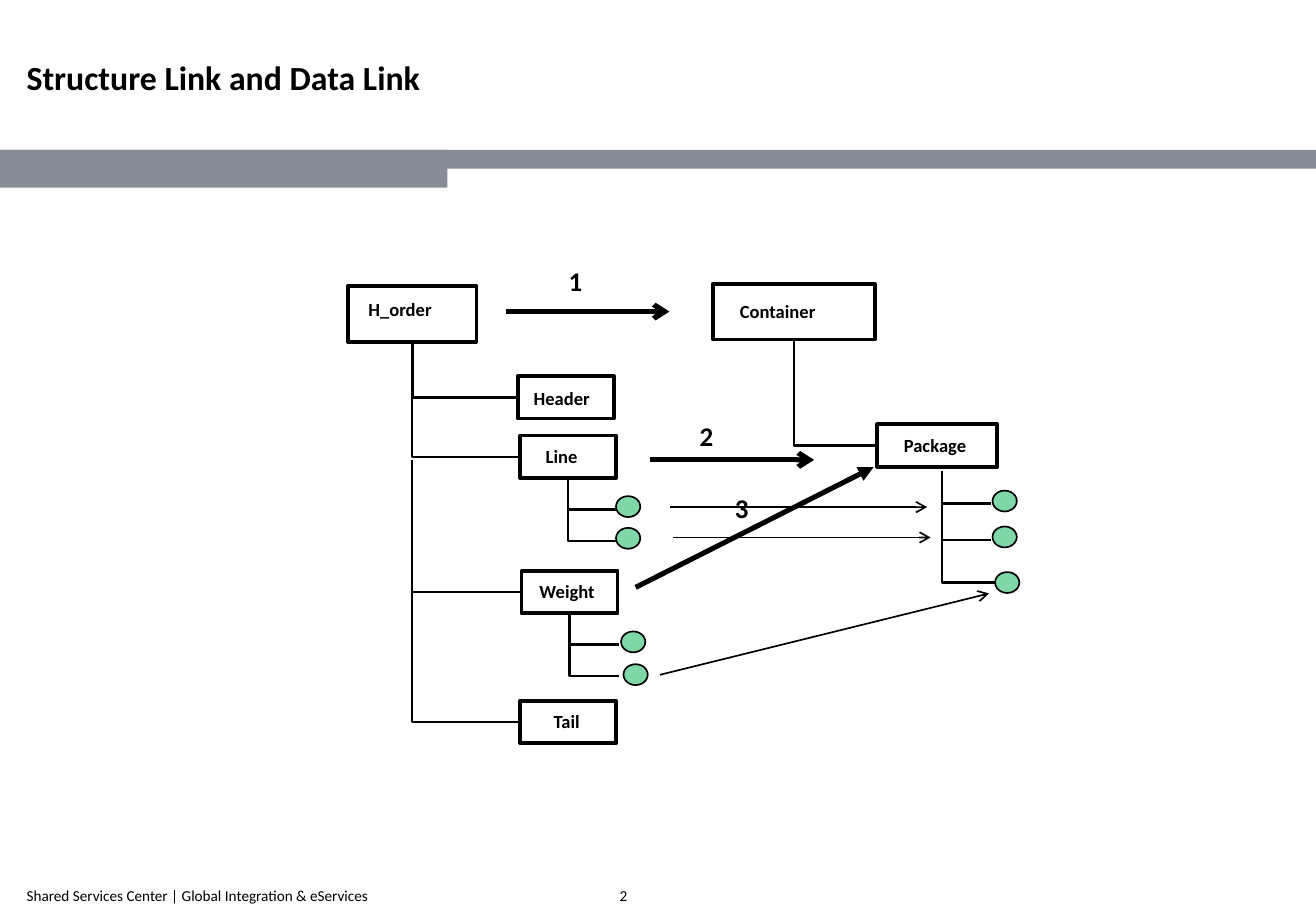
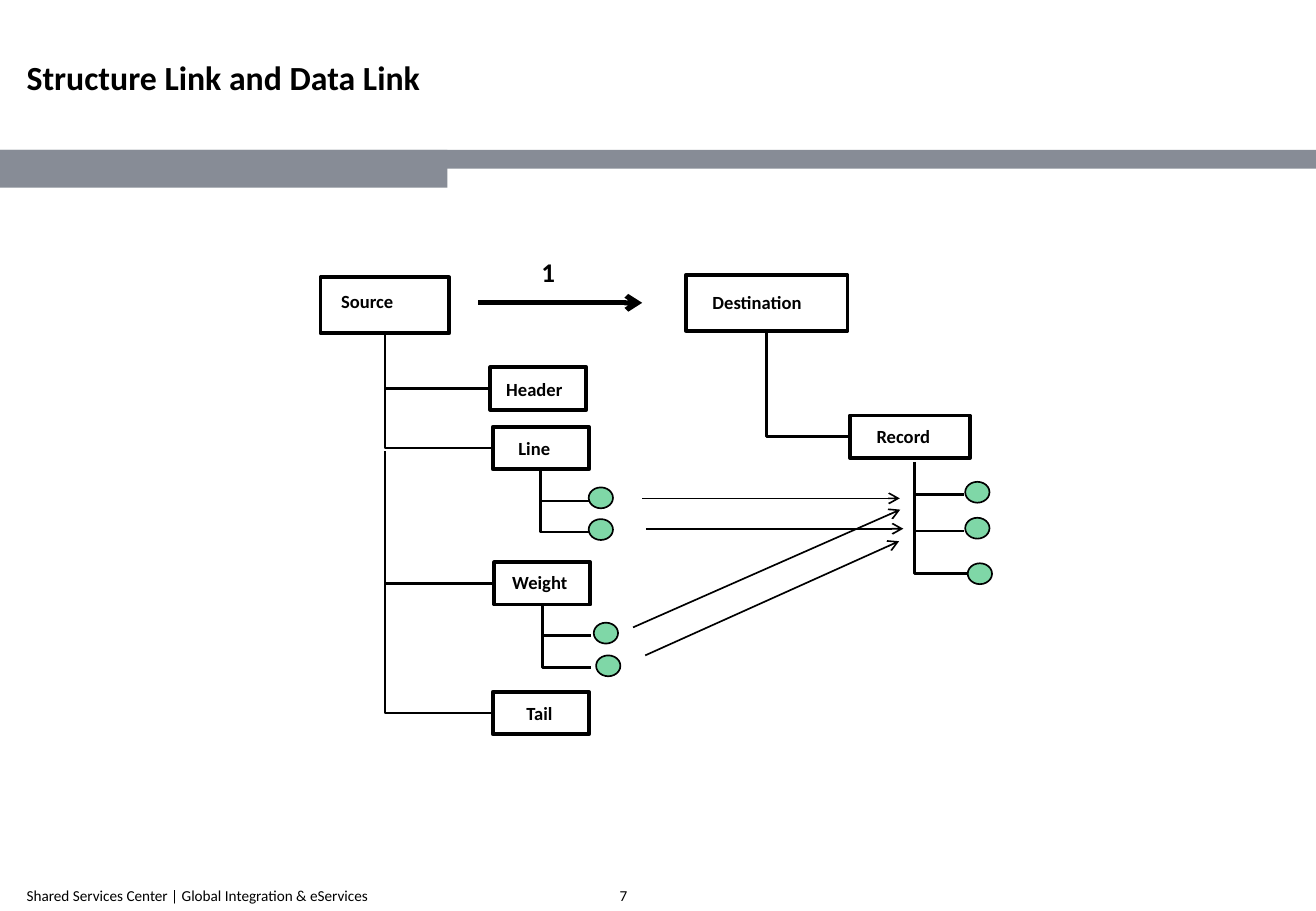
import lxml.etree
import pptx
import pptx.dml.color
import pptx.enum.shapes
import pptx.enum.text
import pptx.oxml.ns
import pptx.util

Pt = pptx.util.Pt
qn = pptx.oxml.ns.qn
SHAPE = pptx.enum.shapes.MSO_SHAPE
CONNECTOR = pptx.enum.shapes.MSO_CONNECTOR
ANCHOR = pptx.enum.text.MSO_ANCHOR

# Shared look
WIDTH, HEIGHT = 780.13, 540
FONT, BLACK, BAND, GREEN = "Calibri", "000000", "878C96", "00B050"
TITLE = "Structure Link and Data Link"
FOOTER = "Shared Services Center | Global Integration & eServices"
BANDS = [(0, 88.8, 780, 11.2), (0, 88.8, 265.2, 22.4)]
DOT_W, DOT_H = 14.4, 12.4
THIN, BRANCH, FRAME, BOLD = 1, 1.5, 2.25, 3

# Boxes: left, top, width, height, text indent, text drop
BOXES = {
    "source": (206, 169.2, 76.3, 33.1, 12.2, 7.2),
    "header": (306.7, 222.5, 56.9, 25.2, 9.4, 6.2),
    "line": (308.2, 257.8, 56.9, 25.2, 15.1, 5.8),
    "weight": (309, 338, 56.9, 25.2, 10.6, 5.5),
    "tail": (308.2, 414.9, 56.9, 25.2, 19.8, 5.7),
    "target": (422.6, 167.8, 95.8, 33.1, 15.8, 9.4),
    "record": (519.8, 251.1, 71.3, 25.2, 15.8, 5.8),
}
COMMON_NAMES = {"header": "Header", "line": "Line",
                "weight": "Weight", "tail": "Tail"}

# Fields: trunk x, trunk top, then per branch: y, end x, dot centre x, dot centre y
FIELDS = [
    (336.4, 283, [(301.7, 365, 372.2, 299.9), (320.3, 365, 372.2, 318.7)]),
    (337.6, 363.2, [(381.6, 366.5, 375.2, 380.1), (400.3, 366.5, 376.6, 399.5)]),
    (558.2, 278.6, [(298.1, 587.5, 595.4, 296.6), (319.7, 587.5, 595.4, 317.9),
                    (344.9, 589.7, 596.9, 344.9)]),
]

# Arrows: x1, y1, x2, y2, line width, head
COMMON_ARROWS = [
    (299.5, 184.3, 396.7, 184.3, BOLD, "arrow"),
    (396.7, 300.2, 549.4, 300.2, THIN, "arrow"),
    (398.9, 318.2, 551.5, 318.2, THIN, "arrow"),
]
COMMON_STEPS = [("1", 329.8, 152.6)]

SLIDES = [
    {
        "number": "2", "shift": (0.2, 0.4),
        "names": {"source": "H_order", "target": "Container", "record": "Package"},
        "arrows": [(385.2, 272.2, 482.4, 272.2, BOLD, "arrow"),
                   (376.6, 347.8, 517.7, 276.5, BOLD, "triangle"),
                   (391, 399.6, 586.1, 351.4, THIN, "arrow")],
        "steps": [("2", 407.5, 244.8), ("3", 428.4, 287.3)],
    },
    {
        "number": "7", "shift": (-16, -4.8),
        "names": {"source": "Source", "target": "Destination", "record": "Record"},
        "arrows": [(391.3, 376.7, 549.7, 306.9, THIN, "arrow"),
                   (398.5, 393.3, 549, 325.6, THIN, "arrow")],
        "steps": [],
    },
]


def color(value):
    return pptx.dml.color.RGBColor.from_string(value)


def write(shape, text, size, bold=False, insets=(0, 0, 0, 0), anchor=ANCHOR.TOP):
    frame = shape.text_frame
    frame.word_wrap = True
    frame.vertical_anchor = anchor
    (frame.margin_left, frame.margin_top,
     frame.margin_right, frame.margin_bottom) = map(Pt, insets)
    paragraph = frame.paragraphs[0]
    paragraph.alignment = pptx.enum.text.PP_ALIGN.LEFT
    run = paragraph.add_run()
    run.text = text
    run.font.name, run.font.size, run.font.bold = FONT, Pt(size), bold
    run.font.color.rgb = color(BLACK)


def add_text(slide, place, *args, **options):
    write(slide.shapes.add_textbox(*map(Pt, place)), *args, **options)


def add_shape(slide, preset, place, fill=None, alpha=None, line=None):
    shape = slide.shapes.add_shape(preset, *map(Pt, place))
    shape.shadow.inherit = False
    if fill:
        shape.fill.solid()
        shape.fill.fore_color.rgb = color(fill)
    else:
        shape.fill.background()
    if alpha:
        tint = shape.fill._xPr.find(qn("a:solidFill"))[0]
        lxml.etree.SubElement(tint, qn("a:alpha"), val=str(alpha * 1000))
    if line:
        shape.line.color.rgb = color(BLACK)
        shape.line.width = Pt(line)
    else:
        shape.line.fill.background()
    return shape


def add_line(slide, x1, y1, x2, y2, width=BRANCH, head=None, kind=CONNECTOR.STRAIGHT):
    link = slide.shapes.add_connector(kind, *map(Pt, (x1, y1, x2, y2)))
    link.line.color.rgb = color(BLACK)
    link.line.width = Pt(width)
    properties = link._element.spPr
    if head:
        lxml.etree.SubElement(properties.find(qn("a:ln")), qn("a:tailEnd"), type=head)
    lxml.etree.SubElement(properties, qn("a:effectLst"))
    return link


def add_elbow(slide, x1, y1, x2, y2):
    """Go down from the first point, then right to the second."""
    mid_x, mid_y = (x1 + x2) / 2, (y1 + y2) / 2
    half_w, half_h = (y2 - y1) / 2, (x2 - x1) / 2
    link = add_line(slide, mid_x - half_w, mid_y - half_h,
                    mid_x + half_w, mid_y + half_h, kind=CONNECTOR.ELBOW)
    properties = link._element.spPr
    frame = properties.find(qn("a:xfrm"))
    frame.set("rot", "16200000")
    frame.set("flipH", "1")
    properties.find(qn("a:prstGeom")).set("prst", "bentConnector2")


def add_frame(slide, number):
    for band in BANDS:
        add_shape(slide, SHAPE.RECTANGLE, band, fill=BAND)
    add_text(slide, (15.8, 33.8, 535, 51.1), TITLE, 20, bold=True)
    add_text(slide, (15.8, 525.2, 335, 11.5), FOOTER, 9, anchor=ANCHOR.MIDDLE)
    add_text(slide, (367.4, 525.2, 45.4, 11.5), number, 9, anchor=ANCHOR.MIDDLE)


def add_diagram(slide, content):
    dx, dy = content["shift"]
    names = COMMON_NAMES | content["names"]

    # Named boxes
    boxes, bottom, left = {}, {}, {}
    for key, (x, y, w, h, indent, drop) in BOXES.items():
        x, y = x + dx, y + dy
        boxes[key] = add_shape(slide, SHAPE.RECTANGLE, (x, y, w, h), line=FRAME)
        write(boxes[key], names[key], 11, bold=True, insets=(indent, drop, 0, 0))
        bottom[key] = (x + w / 2, y + h)
        left[key] = (x, y + h / 2)

    # Tree from the roots to their children
    spine = bottom["source"][0]
    add_elbow(slide, *bottom["source"], *left["header"])
    add_elbow(slide, spine, left["header"][1], *left["line"])
    add_elbow(slide, spine, left["line"][1] + 1.8, *left["tail"])
    add_elbow(slide, *bottom["target"], *left["record"])
    weight_y = left["weight"][1]
    weight_link = add_line(slide, spine, weight_y, *left["weight"])
    weight_link.end_connect(boxes["weight"], 1)

    # Fields: the last branch turns the corner of the trunk
    for trunk_x, trunk_top, branches in FIELDS:
        for branch in branches:
            y, end_x, dot_x, dot_y = branch
            if branch is branches[-1]:
                add_elbow(slide, trunk_x + dx, trunk_top + dy, end_x + dx, y + dy)
            else:
                add_line(slide, trunk_x + dx, y + dy, end_x + dx, y + dy)
            add_shape(slide, SHAPE.OVAL,
                      (dot_x + dx - DOT_W / 2, dot_y + dy - DOT_H / 2, DOT_W, DOT_H),
                      fill=GREEN, alpha=50, line=THIN)

    # Links between the two trees, and their step numbers
    for x1, y1, x2, y2, width, head in COMMON_ARROWS + content["arrows"]:
        add_line(slide, x1 + dx, y1 + dy, x2 + dx, y2 + dy, width, head)
    for step, x, y in COMMON_STEPS + content["steps"]:
        add_text(slide, (x + dx, y + dy, 31.7, 26.6), step, 16, bold=True,
                 insets=(7.2, 3.6, 7.2, 3.6))


def main():
    deck = pptx.Presentation()
    deck.slide_width, deck.slide_height = Pt(WIDTH), Pt(HEIGHT)
    for content in SLIDES:
        slide = deck.slides.add_slide(deck.slide_layouts[6])
        add_frame(slide, content["number"])
        add_diagram(slide, content)
    deck.save("out.pptx")


if __name__ == "__main__":
    main()
